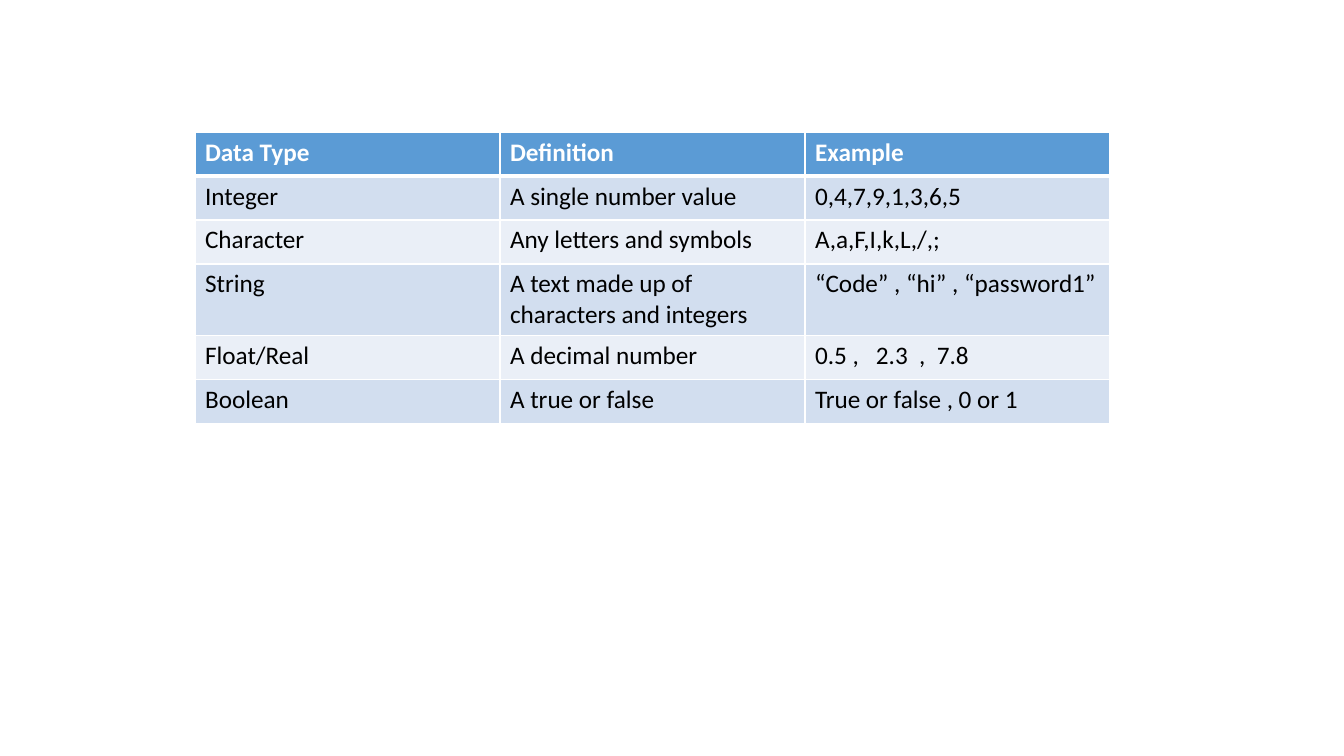
from dataclasses import dataclass

from lxml import etree
from pptx import Presentation
from pptx.dml.color import RGBColor
from pptx.oxml.ns import qn
from pptx.util import Emu, Pt

HEADINGS = ("Data Type", "Definition", "Example")
DATA_TYPES = [
    ("Integer", "A single number value", "0,4,7,9,1,3,6,5"),
    ("Character", "Any letters and symbols", "A,a,F,I,k,L,/,;"),
    ("String", "A text made up of characters and integers",
     "“Code” , “hi” , “password1”"),
    ("Float/Real", "A decimal number", "0.5 ,   2.3  ,  7.8"),
    ("Boolean", "A true or false", "True or false , 0 or 1"),
]

SLIDE_SIZE = (1344, 756)
TABLE_LEFT, TABLE_TOP = 195, 132
COLUMN_WIDTH = 305
ROW_HEIGHTS = (44, 44, 44, 72, 44, 44)


@dataclass(frozen=True)
class Theme:
    font: str = "Calibri"
    size: int = 18
    header_fill: str = "5B9BD5"
    header_text: str = "FFFFFF"
    bands: tuple = ("D2DEEF", "EAEFF7")
    body_text: str = "000000"
    border: str = "FFFFFF"
    thin: int = 1
    thick: int = 3


THEME = Theme()


def px(length):
    return Emu(round(length * 914400 / 100.8))


def add_borders(cell, widths):
    """Draw the cell's sides; widths maps L, R, T, B to points."""
    properties = cell._tc.get_or_add_tcPr()
    for side, width in widths.items():
        line = etree.SubElement(properties, qn(f"a:ln{side}"), w=str(Pt(width)))
        fill = etree.SubElement(line, qn("a:solidFill"))
        etree.SubElement(fill, qn("a:srgbClr"), val=THEME.border)


def style_cell(cell, row):
    is_header = row == 0
    widths = dict.fromkeys("LRTB", THEME.thin)
    if is_header:
        widths["B"] = THEME.thick
    elif row == 1:
        widths["T"] = THEME.thick
    add_borders(cell, widths)

    fill = THEME.header_fill if is_header else THEME.bands[(row - 1) % 2]
    cell.fill.solid()
    cell.fill.fore_color.rgb = RGBColor.from_string(fill)

    font = cell.text_frame.paragraphs[0].font
    font.name, font.size, font.bold = THEME.font, Pt(THEME.size), is_header
    font.color.rgb = RGBColor.from_string(
        THEME.header_text if is_header else THEME.body_text)


def add_data_type_table(slide):
    rows = [HEADINGS, *DATA_TYPES]
    table = slide.shapes.add_table(
        len(rows), len(HEADINGS), px(TABLE_LEFT), px(TABLE_TOP),
        px(COLUMN_WIDTH * len(HEADINGS)), px(sum(ROW_HEIGHTS))).table
    for column in table.columns:
        column.width = px(COLUMN_WIDTH)
    for r, (texts, height) in enumerate(zip(rows, ROW_HEIGHTS)):
        table.rows[r].height = px(height)
        for c, text in enumerate(texts):
            cell = table.cell(r, c)
            cell.text = text
            style_cell(cell, r)


def main():
    deck = Presentation()
    deck.slide_width, deck.slide_height = map(px, SLIDE_SIZE)
    add_data_type_table(deck.slides.add_slide(deck.slide_layouts[6]))
    deck.save("out.pptx")


if __name__ == "__main__":
    main()
